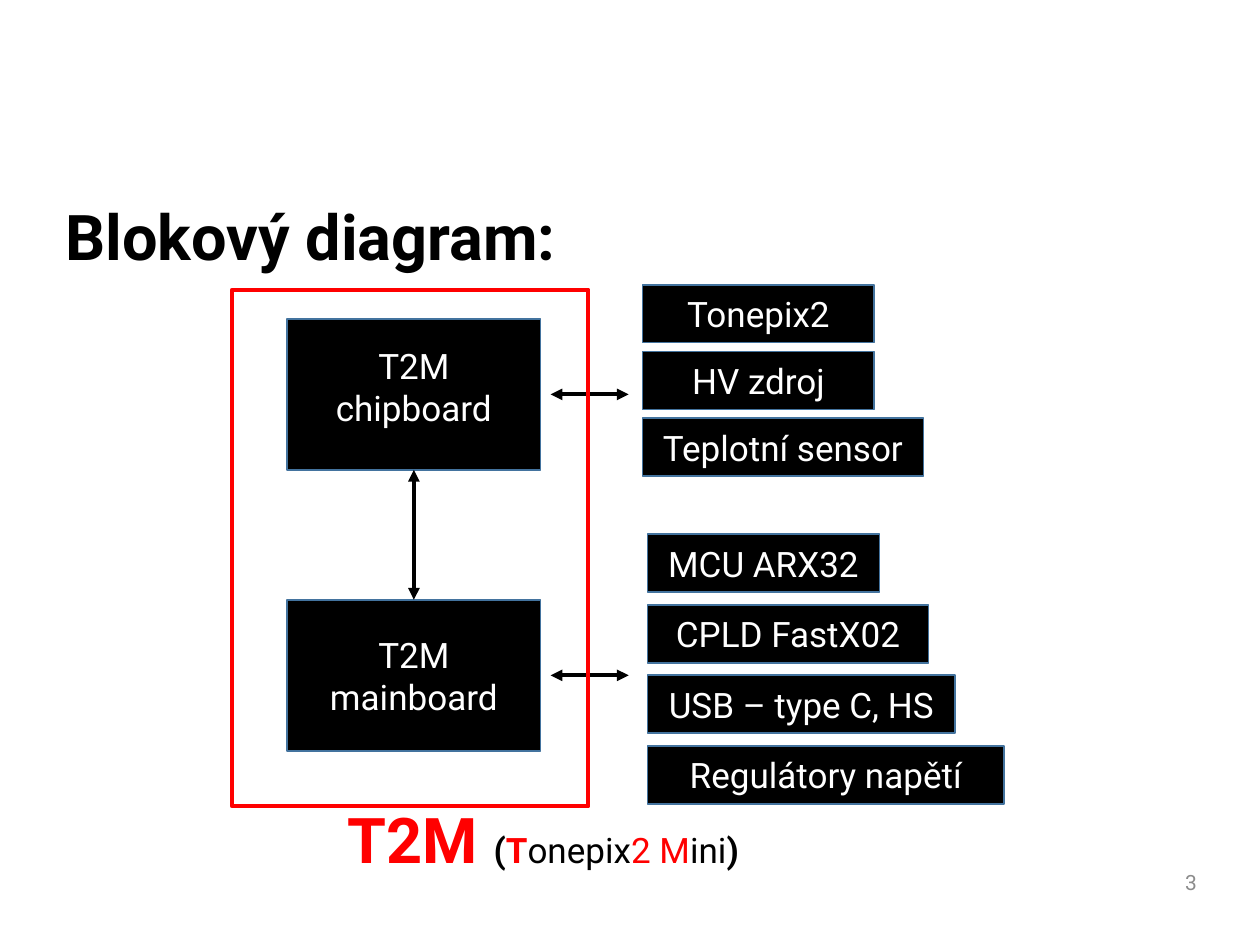
from dataclasses import dataclass

from lxml.etree import SubElement
from pptx import Presentation
from pptx.dml.color import RGBColor
from pptx.enum.shapes import MSO_CONNECTOR, MSO_SHAPE
from pptx.enum.text import MSO_ANCHOR, PP_ALIGN
from pptx.oxml.ns import qn
from pptx.util import Inches, Pt

FONT = "Roboto"
BLACK, WHITE, RED, GREY, EDGE = "000000", "FFFFFF", "FF0000", "8C8C8C", "43739E"
ARROW_LEFT, ARROW_RIGHT = 4.37, 4.99
BOARD_LEFT, BOARD_WIDTH, BOARD_HEIGHT = 2.28, 2.01, 1.2
COMPONENT_HEIGHT = 0.46


@dataclass
class Board:
    label: str
    top: float
    bottom_inset: float = 0.03

    @property
    def middle(self) -> float:
        return self.top + BOARD_HEIGHT / 2


@dataclass
class ComponentColumn:
    left: float
    top: float
    pitch: float
    components: list[tuple[str, float]]


@dataclass
class Phrase:
    text: str
    size: float
    color: str
    bold: bool = False


CHIPBOARD = Board("T2M\nchipboard", 2.53, 0.16)
MAINBOARD = Board("T2M\nmainboard", 4.76)
COLUMNS = [
    ComponentColumn(5.1, 2.26, 0.53, [
        ("Tonepix2", 1.84), ("HV zdroj", 1.84), ("Teplotní sensor", 2.23),
    ]),
    ComponentColumn(5.14, 4.24, 0.56, [
        ("MCU ARX32", 1.84), ("CPLD FastX02", 2.23),
        ("USB – type C, HS", 2.44), ("Regulátory napětí", 2.83),
    ]),
]
TITLE = [Phrase("Blokový diagram:", 36, BLACK, True)]
CAPTION = [
    Phrase("T2M ", 36, RED, True),
    Phrase("(", 20, BLACK, True),
    Phrase("T", 20, RED, True),
    Phrase("onepix", 20, BLACK),
    Phrase("2 M", 20, RED),
    Phrase("ini", 20, BLACK),
    Phrase(")", 20, BLACK, True),
]


def rgb(color: str) -> RGBColor:
    return RGBColor.from_string(color)


def style(font, size: float, color: str, bold: bool = False) -> None:
    font.name, font.size, font.bold = FONT, Pt(size), bold
    font.color.rgb = rgb(color)


def add_rectangle(page, left: float, top: float, width: float, height: float,
                  edge: str, weight: float):
    box = page.shapes.add_shape(MSO_SHAPE.RECTANGLE, Inches(left), Inches(top),
                                Inches(width), Inches(height))
    box.shadow.inherit = False
    box.line.color.rgb = rgb(edge)
    box.line.width = Pt(weight)
    return box


def add_block(page, label: str, left: float, top: float, width: float,
              height: float, bottom_inset: float = 0.03):
    box = add_rectangle(page, left, top, width, height, EDGE, 1)
    box.fill.solid()
    box.fill.fore_color.rgb = rgb(BLACK)
    frame = box.text_frame
    frame.text = label
    frame.word_wrap = True
    frame.vertical_anchor = MSO_ANCHOR.MIDDLE
    frame.margin_left = frame.margin_right = Inches(0.06)
    frame.margin_top, frame.margin_bottom = Inches(0.03), Inches(bottom_inset)
    for para in frame.paragraphs:
        para.alignment = PP_ALIGN.CENTER
        for span in para.runs:
            style(span.font, 20, WHITE)
    return box


def add_board(page, board: Board):
    return add_block(page, board.label, BOARD_LEFT, board.top, BOARD_WIDTH,
                     BOARD_HEIGHT, board.bottom_inset)


def add_arrow(page, left: float, top: float, right: float, bottom: float):
    arrow = page.shapes.add_connector(MSO_CONNECTOR.STRAIGHT, Inches(left), Inches(top),
                                      Inches(right), Inches(bottom))
    arrow.line.color.rgb = rgb(BLACK)
    arrow.line.width = Pt(2.25)
    properties = arrow.element.spPr
    outline = properties.find(qn("a:ln"))
    for end in ("a:headEnd", "a:tailEnd"):
        SubElement(outline, qn(end), type="triangle")
    SubElement(properties, qn("a:effectLst"))
    return arrow


def add_text(page, phrases: list[Phrase], left: float, top: float, width: float,
             height: float):
    box = page.shapes.add_textbox(Inches(left), Inches(top), Inches(width), Inches(height))
    box.text_frame.word_wrap = True
    para = box.text_frame.paragraphs[0]
    para.line_spacing = 0.9
    for phrase in phrases:
        span = para.add_run()
        span.text = phrase.text
        style(span.font, phrase.size, phrase.color, phrase.bold)
    return box


def main() -> None:
    deck = Presentation()
    deck.slide_width, deck.slide_height = Inches(10), Inches(7.5)
    page = deck.slides.add_slide(deck.slide_layouts[6])

    add_text(page, TITLE, 0.42, 1.59, 6.35, 0.67)
    number = add_text(page, [Phrase("3", 12, GREY)], 7.39, 6.81, 2.25, 0.4)
    number.text_frame.vertical_anchor = MSO_ANCHOR.MIDDLE
    number.text_frame.margin_right = Inches(0.14)
    number.text_frame.paragraphs[0].alignment = PP_ALIGN.RIGHT

    mainboard = add_board(page, MAINBOARD)
    chipboard = add_board(page, CHIPBOARD)
    for column in COLUMNS:
        for row, (label, width) in enumerate(column.components):
            add_block(page, label, column.left, column.top + row * column.pitch,
                      width, COMPONENT_HEIGHT)

    for board in (MAINBOARD, CHIPBOARD):
        add_arrow(page, ARROW_LEFT, board.middle, ARROW_RIGHT, board.middle)
    center = BOARD_LEFT + BOARD_WIDTH / 2
    link = add_arrow(page, center, MAINBOARD.top, center, CHIPBOARD.top + BOARD_HEIGHT)
    link.begin_connect(mainboard, 0)
    link.end_connect(chipboard, 2)

    module = add_rectangle(page, 1.84, 2.3, 2.83, 4.1, RED, 2.25)
    module.fill.background()
    add_text(page, CAPTION, 2.66, 6.37, 4.68, 0.67)
    deck.save("out.pptx")


if __name__ == "__main__":
    main()
